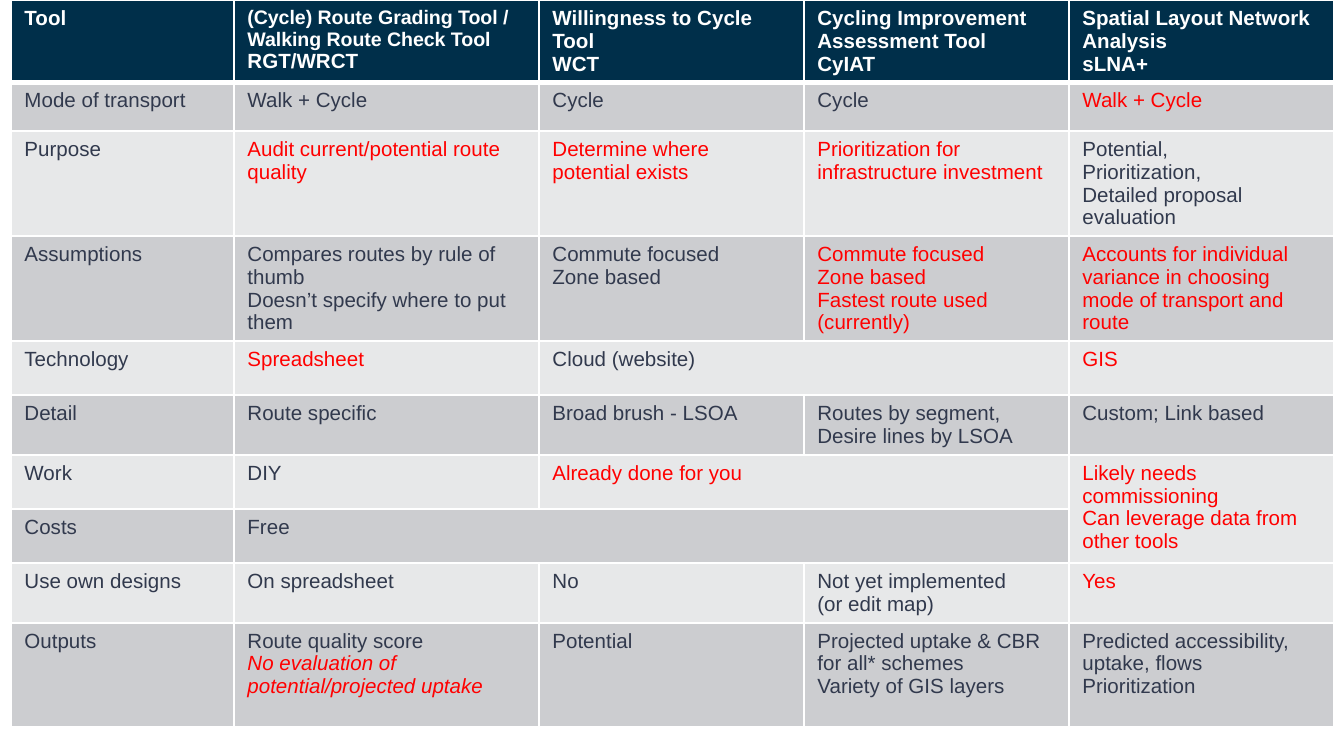
from lxml import etree
from pptx import Presentation
from pptx import util as u
from pptx.dml.color import RGBColor
from pptx.oxml import ns

PX = 914400 / 134.4
NAVY, DARK_BAND, LIGHT_BAND = "002F4A", "CCCDD0", "E7E8E9"
WHITE, SLATE, RED = "FFFFFF", "31394D", "FF0000"
HIGHLIGHT, ITALIC_HIGHLIGHT = "!", "~"

COLUMN_WIDTHS = [223, 305, 265, 265, 265]
ROW_HEIGHTS = [82, 49, 105, 105, 54, 60, 54, 54, 60, 104]
MERGES = [(4, 2, 4, 3), (6, 2, 6, 3), (6, 4, 7, 4), (7, 1, 7, 3)]
ROWS = [
    ["Tool",
     "(Cycle) Route Grading Tool /\nWalking Route Check Tool\nRGT/WRCT",
     "Willingness to Cycle Tool\nWCT",
     "Cycling Improvement Assessment Tool\nCyIAT",
     "Spatial Layout Network Analysis\nsLNA+"],
    ["Mode of transport", "Walk + Cycle", "Cycle", "Cycle", "!Walk + Cycle"],
    ["Purpose",
     "!Audit current/potential route quality",
     "!Determine where potential exists",
     "!Prioritization for infrastructure investment",
     "Potential,\nPrioritization,\nDetailed proposal evaluation"],
    ["Assumptions",
     "Compares routes by rule of thumb\nDoesn’t specify where to put them",
     "Commute focused\nZone based",
     "!Commute focused\n!Zone based\n!Fastest route used (currently)",
     "!Accounts for individual variance in choosing mode of transport and route"],
    ["Technology", "!Spreadsheet", "Cloud (website)", "", "!GIS"],
    ["Detail", "Route specific", "Broad brush - LSOA",
     "Routes by segment,\nDesire lines by LSOA", "Custom; Link based"],
    ["Work", "DIY", "!Already done for you", "",
     "!Likely needs commissioning\n!Can leverage data from other tools"],
    ["Costs", "Free", "", "", ""],
    ["Use own designs", "On spreadsheet", "No",
     "Not yet implemented\n(or edit map)", "!Yes"],
    ["Outputs",
     "Route quality score\n~No evaluation of potential/projected uptake",
     "Potential",
     "Projected uptake & CBR for all* schemes\nVariety of GIS layers",
     "Predicted accessibility, uptake, flows\nPrioritization"],
]


def px(length):
    return u.Emu(round(length * PX))


def color(hex_string):
    return RGBColor.from_string(hex_string)


class SlideBuilder:
    """Holds the table style and the slide being built."""

    font_name = "Arial"
    font_size = 11

    def __init__(self, presentation):
        self.slide = presentation.slides.add_slide(presentation.slide_layouts[6])

    def table(self, left, top, widths, heights, rows, merges):
        frame = self.slide.shapes.add_table(
            len(heights), len(widths), px(left), px(top),
            px(sum(widths)), px(sum(heights)))
        table = frame.table
        table.horz_banding = False
        for column, width in zip(table.columns, widths):
            column.width = px(width)
        for row, height in zip(table.rows, heights):
            row.height = px(height)
        for row_index, row in enumerate(rows):
            for column_index, content in enumerate(row):
                self.cell(table.cell(row_index, column_index), content, row_index)
        for first_row, first_column, last_row, last_column in merges:
            table.cell(first_row, first_column).merge(
                table.cell(last_row, last_column))
        return table

    def cell(self, cell, content, row_index):
        header = row_index == 0
        band = DARK_BAND if row_index % 2 else LIGHT_BAND
        cell.fill.solid()
        cell.fill.fore_color.rgb = color(NAVY if header else band)
        self.borders(cell, top=3 if row_index == 1 else 1, bottom=3 if header else 1)
        lines = content.split("\n")
        cell.text_frame.text = "\n".join(
            line.lstrip(HIGHLIGHT + ITALIC_HIGHLIGHT) for line in lines)
        for paragraph, line in zip(cell.text_frame.paragraphs, lines):
            marked = line.startswith((HIGHLIGHT, ITALIC_HIGHLIGHT))
            plain = WHITE if header else SLATE
            for run in paragraph.runs:
                run.font.name = self.font_name
                run.font.size = u.Pt(self.font_size)
                run.font.bold = header
                run.font.italic = line.startswith(ITALIC_HIGHLIGHT)
                run.font.color.rgb = color(RED if marked else plain)

    def borders(self, cell, top, bottom):
        properties = cell._tc.get_or_add_tcPr()
        sides = [("L", 1), ("R", 1), ("T", top), ("B", bottom)]
        for index, (side, points) in enumerate(sides):
            line = etree.Element(ns.qn(f"a:ln{side}"), w=str(u.Pt(points)))
            fill = etree.SubElement(line, ns.qn("a:solidFill"))
            etree.SubElement(fill, ns.qn("a:srgbClr"), val=WHITE)
            properties.insert(index, line)

    def resize(self, paragraphs, points):
        for paragraph in paragraphs:
            for run in paragraph.runs:
                run.font.size = u.Pt(points)


def main():
    presentation = Presentation()
    presentation.slide_width, presentation.slide_height = px(1344), px(756)
    builder = SlideBuilder(presentation)
    table = builder.table(11, 0, COLUMN_WIDTHS, ROW_HEIGHTS, ROWS, MERGES)
    builder.resize(table.cell(0, 1).text_frame.paragraphs[:2], 10.5)
    presentation.save("out.pptx")


if __name__ == "__main__":
    main()
